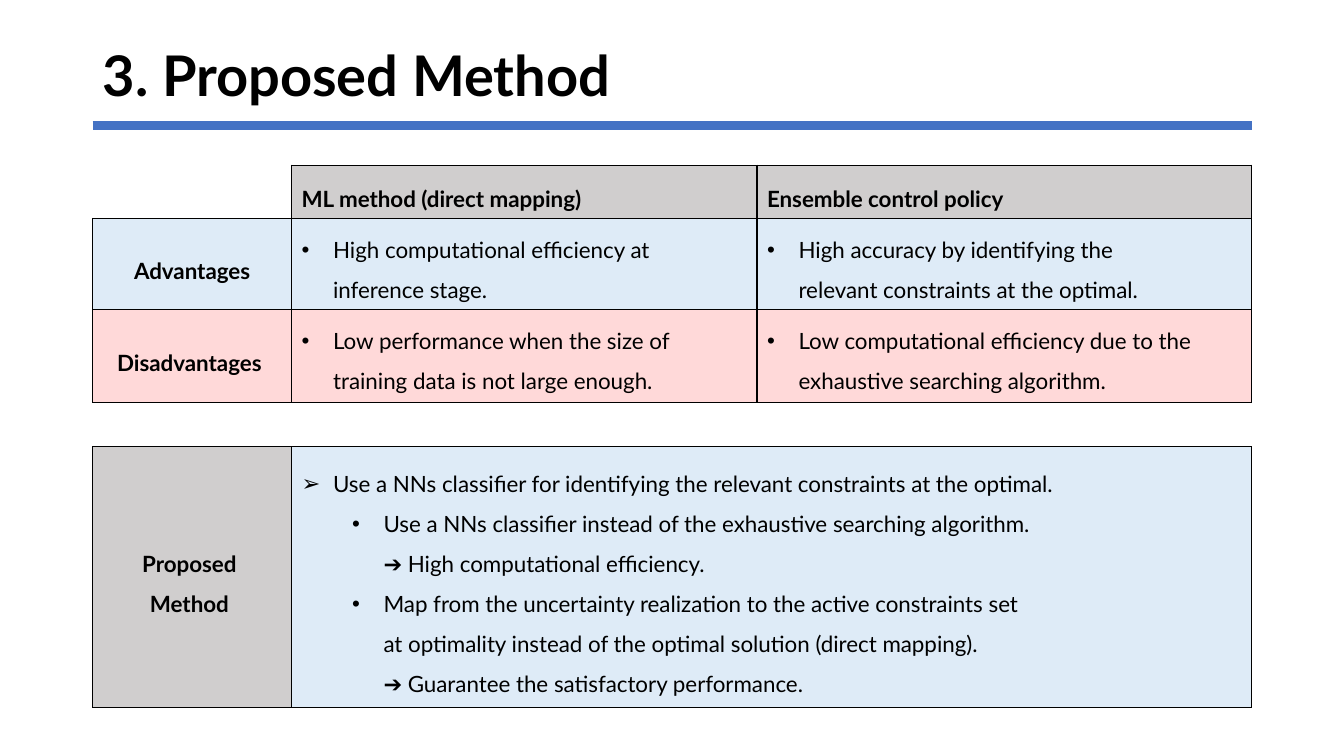
from copy import deepcopy

from lxml.etree import SubElement, fromstring
from pptx import Presentation
from pptx.dml.color import RGBColor
from pptx.enum.shapes import MSO_CONNECTOR as Connector
from pptx.enum.text import MSO_ANCHOR as Anchor, MSO_AUTO_SIZE as AutoSize, PP_ALIGN as Align
from pptx.oxml.ns import nsdecls, qn
from pptx.util import Pt

# Content: a cell is (kind, colour, paragraphs); a paragraph is (bullet, level, text)
TITLE = "3. Proposed Method"
FONT = "Lato"
COLORS = {"ink": "000000", "rule": "4472C4", "grey": "D0CECE", "blue": "DEEBF7", "red": "FF0000"}
RED_ALPHA = 15


def header(text):
    return "header", "grey", [(None, 0, text)]


def label(color, text):
    return "label", color, [(None, 0, text)]


def point(color, text):
    return "point", color, [("•", 0, text)]


COMPARISON = [
    [None, header("ML method (direct mapping)"), header("Ensemble control policy")],
    [label("blue", "Advantages"),
     point("blue", "High computational efficiency at \ninference stage."),
     point("blue", "High accuracy by identifying the \nrelevant constraints at the optimal.")],
    [label("red", "Disadvantages "),
     point("red", "Low performance when the size of \ntraining data is not large enough."),
     point("red", "Low computational efficiency due to the exhaustive searching algorithm.")],
]
PROPOSAL = [[
    label("grey", "Proposed \nMethod "),
    ("plan", "blue", [
        ("➢", 0, "Use a NNs classifier for identifying the relevant constraints at the optimal."),
        ("•", 1, "Use a NNs classifier instead of the exhaustive searching algorithm. \n"
                 "➔ High computational efficiency."),
        ("•", 1, "Map from the uncertainty realization to the active constraints set \n"
                 "at optimality instead of the optimal solution (direct mapping). \n"
                 "➔ Guarantee the satisfactory performance."),
    ]),
]]

# Layout in points
LEFT, WIDTH = 66.25, 828
HANGING, LEVEL_STEP = 22.5, 36
LABEL_WIDTH, ML_WIDTH = 142, 332.5
COMPARISON_COLS = [LABEL_WIDTH, ML_WIDTH, WIDTH - LABEL_WIDTH - ML_WIDTH]
PROPOSAL_COLS = [LABEL_WIDTH, WIDTH - LABEL_WIDTH]
PLAIN_TABLE_STYLE = "{2D5ABB26-0587-4C30-8999-92F81FD0307C}"


def rgb(name):
    return RGBColor.from_string(COLORS[name])


def style_runs(paragraph, size, bold):
    for run in paragraph.runs:
        run.font.name, run.font.size, run.font.bold = FONT, Pt(size), bold
        run.font.color.rgb = rgb("ink")
    # Line breaks take the size of the text around them
    for line_break in paragraph._p.findall(qn("a:br")):
        line_break.insert(0, deepcopy(paragraph.runs[0]._r.rPr))


def add_bullet(paragraph, bullet, level):
    props = paragraph._p.get_or_add_pPr()
    props.set("marL", str(Pt(HANGING + level * LEVEL_STEP)))
    props.set("indent", str(-Pt(HANGING)))
    SubElement(props, qn("a:buFont")).set("typeface", "Arial")
    SubElement(props, qn("a:buChar")).set("char", bullet)


def add_borders(cell, sides):
    for position, side in enumerate(sides):
        cell._tc.get_or_add_tcPr().insert(position, fromstring(
            f'<a:ln{side} {nsdecls("a")} w="{Pt(1)}"><a:solidFill>'
            f'<a:srgbClr val="{COLORS["ink"]}"/></a:solidFill></a:ln{side}>'))


def fill_cell(cell, content):
    if content is None:
        cell.fill.background()
        add_borders(cell, "RB")
        return
    kind, color, paragraphs = content
    cell.fill.solid()
    cell.fill.fore_color.rgb = rgb(color)
    if color == "red":
        tint = cell._tc.tcPr.find(".//" + qn("a:srgbClr"))
        SubElement(tint, qn("a:alpha")).set("val", str(RED_ALPHA * 1000))
    add_borders(cell, "LRTB")
    cell.vertical_anchor = Anchor.TOP if kind == "point" else Anchor.MIDDLE

    frame = cell.text_frame
    for index, (bullet, level, text) in enumerate(paragraphs):
        paragraph = frame.add_paragraph() if index else frame.paragraphs[0]
        paragraph.text = text
        paragraph.level = level
        paragraph.line_spacing = 1.5
        paragraph.alignment = Align.CENTER if kind == "label" else Align.LEFT
        style_runs(paragraph, 16, kind in ("header", "label"))
        if bullet:
            add_bullet(paragraph, bullet, level)


def add_grid(slide, rows, top, col_widths, row_heights):
    frame = slide.shapes.add_table(len(rows), len(col_widths), Pt(LEFT), Pt(top),
                                   Pt(WIDTH), Pt(sum(row_heights)))
    table = frame.table
    table.first_row = table.horz_banding = False
    table._tbl.tblPr.find(qn("a:tableStyleId")).text = PLAIN_TABLE_STYLE
    for column, width in zip(table.columns, col_widths):
        column.width = Pt(width)
    for row, height, contents in zip(table.rows, row_heights, rows):
        row.height = Pt(height)
        for cell, content in zip(row.cells, contents):
            fill_cell(cell, content)


def main():
    deck = Presentation()
    deck.slide_width, deck.slide_height = Pt(960), Pt(540)
    slide = deck.slides.add_slide(deck.slide_layouts[5])

    # Title and rule
    title = slide.shapes.title
    title.left, title.top, title.width, title.height = Pt(LEFT), Pt(28.8), Pt(WIDTH), Pt(54)
    title.text_frame.text = TITLE
    title.text_frame.auto_size = AutoSize.NONE
    title.text_frame.vertical_anchor = Anchor.MIDDLE
    heading = title.text_frame.paragraphs[0]
    heading.alignment, heading.line_spacing = Align.LEFT, 0.9
    style_runs(heading, 40, True)

    rule = slide.shapes.add_connector(Connector.STRAIGHT, Pt(LEFT), Pt(89.5),
                                      Pt(LEFT + WIDTH), Pt(89.5))
    rule.line.color.rgb = rgb("rule")
    rule.line.width = Pt(6.13)
    SubElement(rule._element.spPr, qn("a:effectLst"))

    # Comparison and proposal tables
    add_grid(slide, COMPARISON, 118, COMPARISON_COLS, [38, 65, 66.5])
    add_grid(slide, PROPOSAL, 319, PROPOSAL_COLS, [186.5])

    deck.save("out.pptx")


if __name__ == "__main__":
    main()
